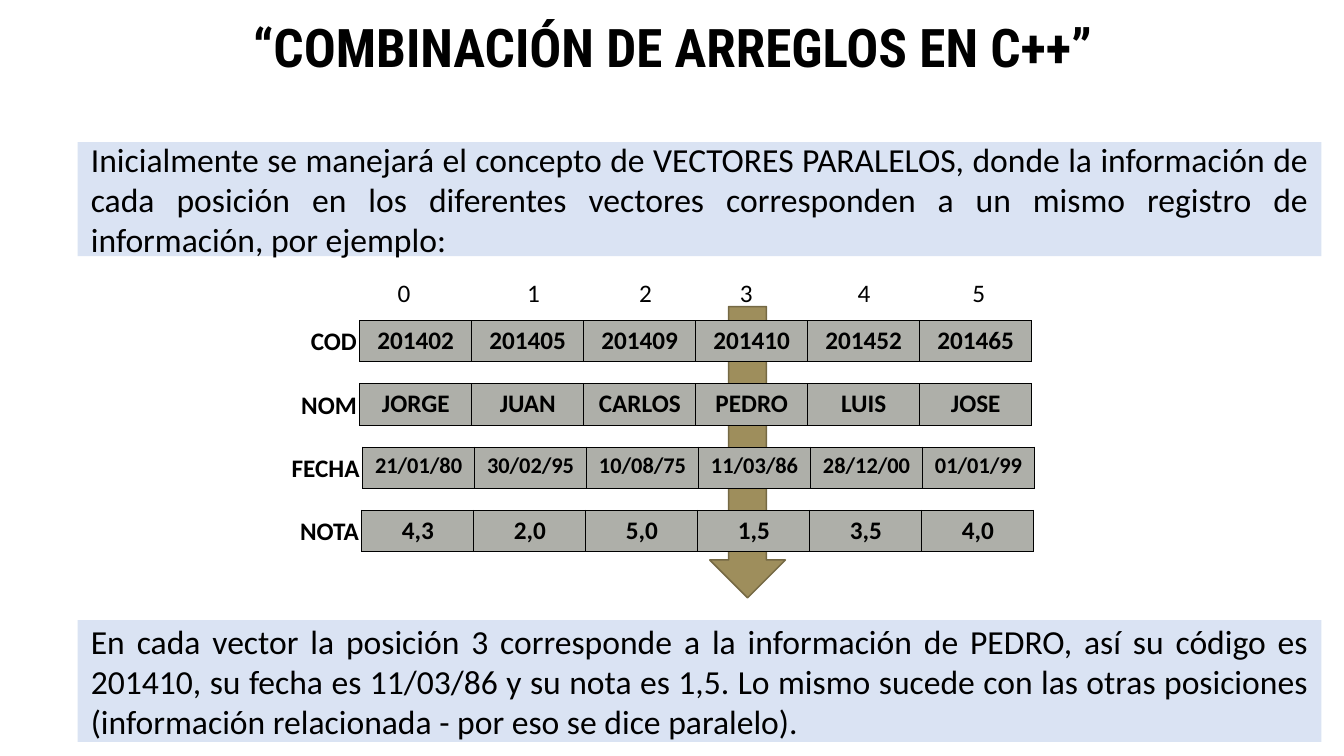
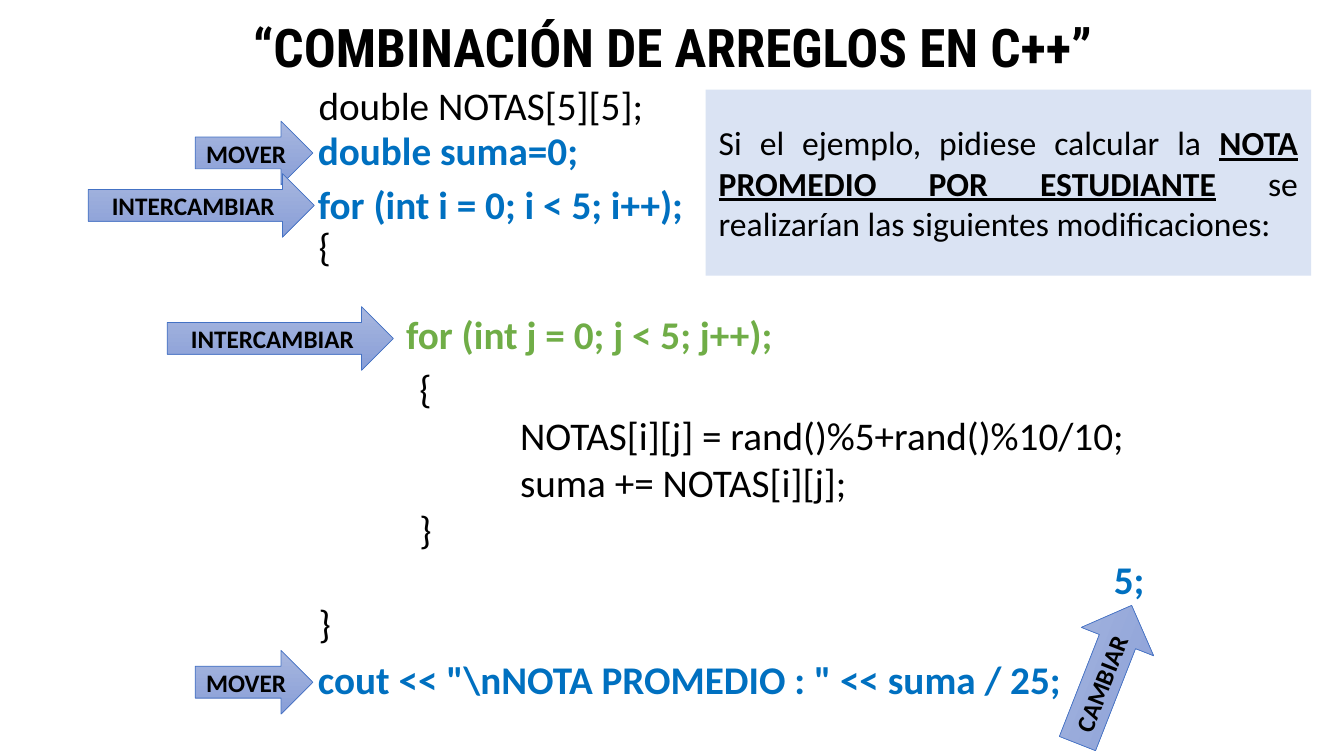
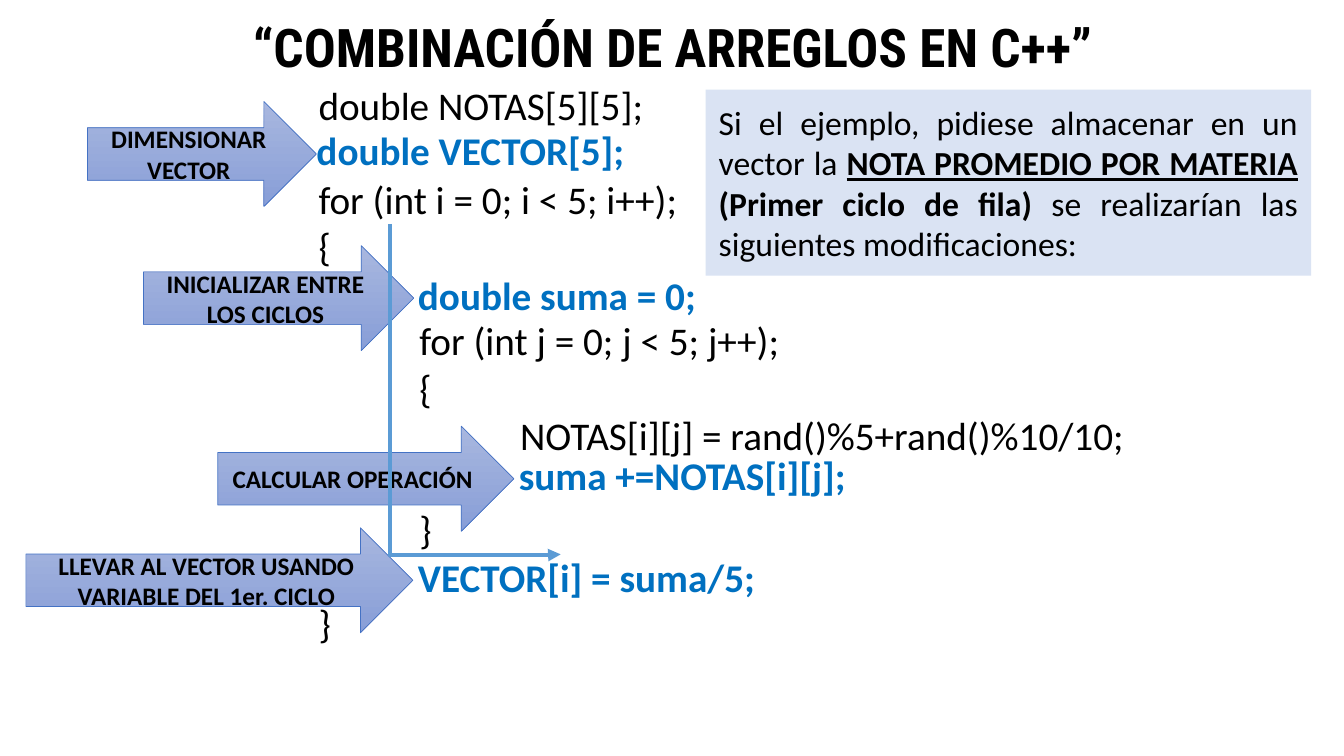
import pptx
import pptx.util
import pptx.dml.color
import pptx.enum.dml
import pptx.enum.shapes
import pptx.enum.text
import pptx.oxml.ns
from lxml import etree

Pt = pptx.util.Pt
qn = pptx.oxml.ns.qn
ALIGN = pptx.enum.text.PP_ALIGN
ANCHOR = pptx.enum.text.MSO_ANCHOR
SHAPE = pptx.enum.shapes.MSO_SHAPE

COLORS = {
    "text": "000000", "panel": "DAE3F3", "cell": "AEAFA9",
    "pointer": "9E8E5C", "pointer_edge": "756944",
    "arrow_light": "A8B7DF", "arrow_dark": "889ED7", "arrow_edge": "4472C4",
    "changed": "0070C0", "swapped": "70AD47", "flow": "5B9BD5",
}
BODY_FONT = "Calibri"
TITLE_FONT = "Roboto Condensed"
TITLE = "“COMBINACIÓN DE ARREGLOS EN C++”"

CONCEPT_BOX = (55.5, 101.5, 888.5, 81.5)
CONCEPT = [("Inicialmente se manejará el concepto de VECTORES PARALELOS, donde la información de cada posición en los diferentes vectores corresponden a un mismo registro de información, por ejemplo:", "")]
CONCLUSION_BOX = (55.5, 443, 888.5, 87)
CONCLUSION = [("En cada vector la posición 3 corresponde a la información de PEDRO, así su código es 201410, su fecha es 11/03/86 y su nota es 1,5. Lo mismo sucede con las otras posiciones (información relacionada - por eso se dice paralelo).", "")]
POSITIONS = ["0", "1", "2", "3", "4", "5"]
POSITION_STOPS = [97, 177, 249, 333, 415]
VECTORS = [
    ("COD", 257, 18, ["201402", "201405", "201409", "201410", "201452", "201465"]),
    ("NOM", 257, 18, ["JORGE", "JUAN", "CARLOS", "PEDRO", "LUIS", "JOSE"]),
    ("FECHA", 259, 16, ["21/01/80", "30/02/95", "10/08/75", "11/03/86", "28/12/00", "01/01/99"]),
    ("NOTA", 258.5, 18, ["4,3", "2,0", "5,0", "1,5", "3,5", "4,0"]),
]
VECTOR_TOP, VECTOR_PITCH, CELL_WIDTH, CELL_HEIGHT = 229, 45.2, 80, 29.5

CODE_BOX = (155.5, 58, 721.5, 438)
CODE_PITCH, CODE_INDENT = 33.7, 72
EXERCISE_BOX = (504, 64, 432.5, 133)

EXERCISES = [
    {
        "task": [("Si el ejemplo, pidiese calcular la ", ""),
                 ("NOTA PROMEDIO POR ESTUDIANTE", "bu"),
                 (" se realizarían las siguientes modificaciones:", "")],
        "code": [(1, 0, "double NOTAS[5][5];"), (1, 2, "{"), (2, 2, "{"),
                 (3, 0, "NOTAS[i][j] = rand()%5+rand()%10/10;"),
                 (3, 0, "suma += NOTAS[i][j];"), (2, 0, "}"), (1, 1, "}")],
        "changes": [("double suma=0;", 220, 86.5, "changed"),
                    ('cout << "\\nNOTA PROMEDIO : " << suma / 25;', 220, 464.5, "changed"),
                    ("5;", 788.5, 393, "changed"),
                    ("for (int i = 0; i < 5; i++);", 220, 125, "changed"),
                    ("for (int j = 0; j < 5; j++);", 283, 218, "swapped")],
        "arrows": [("MOVER", 139.5, 86.5, 84, 45.5, 0),
                   ("MOVER", 139.5, 464.5, 84, 45.5, 0),
                   ("CAMBIAR", 736, 454, 106, 55.5, 291.4),
                   ("INTERCAMBIAR", 63, 124, 161.5, 45.5, 0),
                   ("INTERCAMBIAR", 119.5, 219, 161.5, 45.5, 0)],
    },
    {
        "task": [("Si el ejemplo, pidiese almacenar en un vector la ", ""),
                 ("NOTA PROMEDIO POR MATERIA", "bu"), (" ", ""),
                 ("(Primer ciclo de fila) ", "b"),
                 ("se realizarían las siguientes modificaciones:", "")],
        "code": [(1, 0, "double NOTAS[5][5];"),
                 (1, 1, "for (int i = 0; i < 5; i++);"), (1, 0, "{"),
                 (2, 1, "for (int j = 0; j < 5; j++);"), (2, 0, "{"),
                 (3, 0, "NOTAS[i][j] = rand()%5+rand()%10/10;"),
                 (2, 1, "}"), (1, 1, "}")],
        "changes": [("double VECTOR[5];", 219, 87, "changed"),
                    ("double suma = 0;", 291.5, 190.5, "changed"),
                    ("suma +=NOTAS[i][j];", 363.5, 319, "changed"),
                    ("VECTOR[i] = suma/5;", 291.5, 391.5, "changed")],
        "arrows": [("DIMENSIONAR VECTOR", 62.5, 72.5, 163.5, 75, 0),
                   ("INICIALIZAR ENTRE LOS CICLOS", 102.5, 175.5, 193, 75, 0),
                   ("CALCULAR OPERACIÓN", 155.5, 304.5, 211.5, 75, 0),
                   ("LLEVAR AL VECTOR USANDO VARIABLE DEL 1er. CICLO", 18.5, 377, 276.5, 75, 0)],
    },
]


def rgb(name):
    return pptx.dml.color.RGBColor.from_string(COLORS[name])


def style(run, size, bold=False, color="text", font=BODY_FONT):
    run.font.name = font
    run.font.size = Pt(size)
    run.font.bold = bold
    run.font.color.rgb = rgb(color)


def write(paragraph, text, size, align=ALIGN.LEFT, **look):
    paragraph.text = text
    paragraph.alignment = align
    for run in paragraph.runs:
        style(run, size, **look)


def add_text(slide, box, text, size, align=ALIGN.LEFT, **look):
    frame = slide.shapes.add_textbox(*map(Pt, box)).text_frame
    frame.word_wrap = True
    write(frame.paragraphs[0], text, size, align, **look)
    return frame


def add_shape(slide, kind, box, edge=None, width=0):
    shape = slide.shapes.add_shape(kind, *map(Pt, box))
    shape.shadow.inherit = False
    if edge:
        shape.line.color.rgb = rgb(edge)
        shape.line.width = Pt(width)
    else:
        shape.line.fill.background()
    return shape


def add_panel(slide, box, parts):
    panel = add_shape(slide, SHAPE.RECTANGLE, box)
    panel.fill.solid()
    panel.fill.fore_color.rgb = rgb("panel")
    frame = panel.text_frame
    frame.margin_left = frame.margin_right = frame.margin_top = frame.margin_bottom = Pt(9.4)
    frame.vertical_anchor = ANCHOR.MIDDLE
    paragraph = frame.paragraphs[0]
    paragraph.alignment = ALIGN.JUSTIFY
    for text, marks in parts:
        run = paragraph.add_run()
        run.text = text
        style(run, 24, bold="b" in marks)
        run.font.underline = "u" in marks


def add_arrow(slide, text, left, top, width, height, rotation):
    arrow = add_shape(slide, SHAPE.RIGHT_ARROW, (left, top, width, height), "arrow_edge", 0.5)
    arrow.rotation = rotation
    arrow.fill.gradient()
    arrow.fill.gradient_angle = 270
    for stop, color in zip(arrow.fill.gradient_stops, ("arrow_light", "arrow_dark")):
        stop.color.rgb = rgb(color)
    arrow.text_frame.word_wrap = True
    arrow.text_frame.vertical_anchor = ANCHOR.MIDDLE
    write(arrow.text_frame.paragraphs[0], text, 18, ALIGN.CENTER, bold=True)


def add_border(cell):
    for side in ("lnL", "lnR", "lnT", "lnB"):
        line = etree.Element(qn("a:" + side), w=str(Pt(1)))
        fill = etree.SubElement(line, qn("a:solidFill"))
        etree.SubElement(fill, qn("a:srgbClr"), val=COLORS["text"])
        cell._tc.get_or_add_tcPr().append(line)


def add_vector(slide, top, name, left, size, values):
    table = slide.shapes.add_table(1, len(values), Pt(left), Pt(top),
                                   Pt(CELL_WIDTH * len(values)), Pt(CELL_HEIGHT)).table
    table.first_row = table.horz_banding = False
    for cell, value in zip(table.iter_cells(), values):
        add_border(cell)
        cell.fill.solid()
        cell.fill.fore_color.rgb = rgb("cell")
        write(cell.text_frame.paragraphs[0], value, size, ALIGN.CENTER, bold=True)
    add_text(slide, (left - 67, top, 72, 29), name, 18, ALIGN.RIGHT, bold=True)


def add_positions(slide):
    paragraph = add_text(slide, (277, 194.5, 448, 29), "\t".join(POSITIONS), 18).paragraphs[0]
    stops = etree.SubElement(paragraph._p.get_or_add_pPr(), qn("a:tabLst"))
    for stop in POSITION_STOPS:
        etree.SubElement(stops, qn("a:tab"), pos=str(Pt(stop)), algn="ctr")


def add_code(slide, lines):
    frame = slide.shapes.add_textbox(*map(Pt, CODE_BOX)).text_frame
    frame.word_wrap = True
    frame.margin_left = frame.margin_right = frame.margin_top = frame.margin_bottom = 0
    for number, (level, gap, text) in enumerate(lines):
        paragraph = frame.add_paragraph() if number else frame.paragraphs[0]
        write(paragraph, text, 28)
        paragraph._p.get_or_add_pPr().set("marL", str(Pt(CODE_INDENT * level)))
        if gap:
            paragraph.space_before = Pt(round(CODE_PITCH * gap, 1))


def add_flow(slide):
    flow = slide.shapes.add_connector(pptx.enum.shapes.MSO_CONNECTOR.ELBOW,
                                      Pt(457.5), Pt(217), Pt(221.5), Pt(339))
    flow.line.color.rgb = rgb("flow")
    flow.line.width = Pt(3)
    properties = flow._element.spPr
    properties.find(qn("a:xfrm")).set("rot", "16200000")
    etree.SubElement(properties.find(qn("a:prstGeom")).find(qn("a:avLst")),
                     qn("a:gd"), name="adj1", fmla="val 100200")
    etree.SubElement(properties.find(qn("a:ln")), qn("a:tailEnd"), type="triangle")
    etree.SubElement(properties, qn("a:effectLst"))


def add_slide(deck):
    slide = deck.slides.add_slide(deck.slide_layouts[6])
    frame = add_text(slide, (78, 0, 805.5, 72), TITLE, 38, ALIGN.CENTER, bold=True, font=TITLE_FONT)
    frame.vertical_anchor = ANCHOR.MIDDLE
    frame.paragraphs[0].line_spacing = 0.9
    return slide


def build_concept(deck):
    slide = add_slide(deck)
    add_panel(slide, CONCEPT_BOX, CONCEPT)
    pointer = add_shape(slide, SHAPE.DOWN_ARROW, (507, 219, 54, 208), "pointer_edge", 1.1)
    pointer.fill.solid()
    pointer.fill.fore_color.rgb = rgb("pointer")
    for row, vector in enumerate(VECTORS):
        add_vector(slide, VECTOR_TOP + row * VECTOR_PITCH, *vector)
    add_positions(slide)
    add_panel(slide, CONCLUSION_BOX, CONCLUSION)


def build_exercise(deck, exercise):
    slide = add_slide(deck)
    add_code(slide, exercise["code"])
    add_panel(slide, EXERCISE_BOX, exercise["task"])
    for arrow in exercise["arrows"]:
        add_arrow(slide, *arrow)
    for text, left, top, color in exercise["changes"]:
        add_text(slide, (left, top, min(664, 960 - left), 41), text, 28, bold=True, color=color)
    return slide


def main():
    deck = pptx.Presentation()
    deck.slide_width, deck.slide_height = Pt(960), Pt(540)
    build_concept(deck)
    slides = [build_exercise(deck, exercise) for exercise in EXERCISES]
    add_flow(slides[-1])
    deck.save("out.pptx")


if __name__ == "__main__":
    main()
